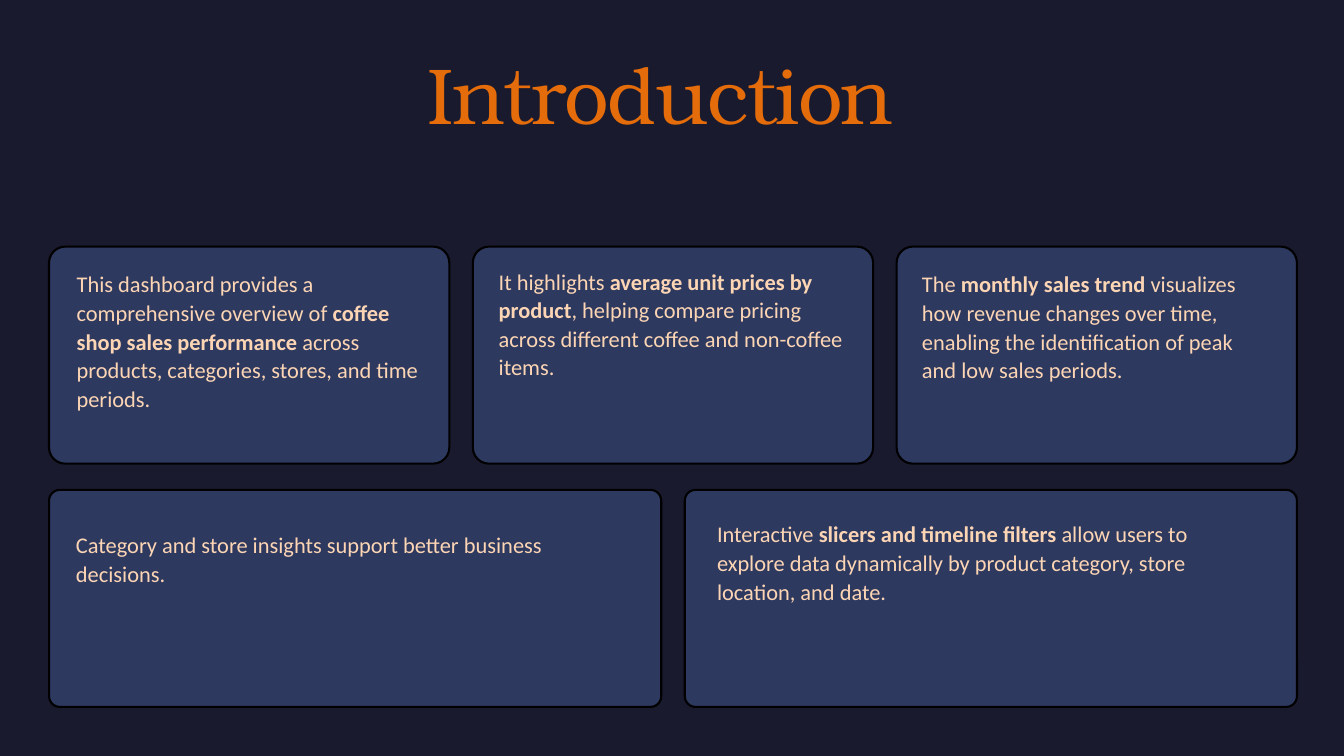
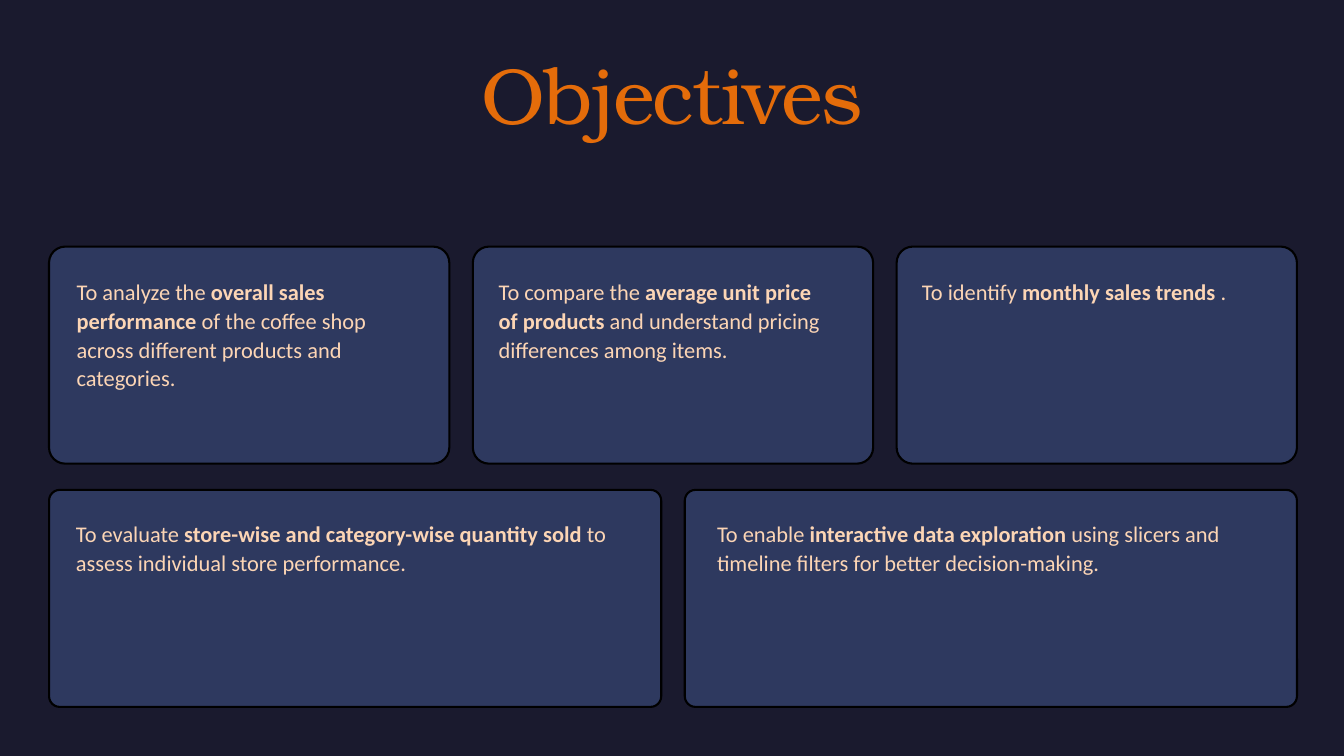
from dataclasses import dataclass

from pptx import Presentation
from pptx.dml.color import RGBColor
from pptx.enum import shapes, text
from pptx.util import Inches, Pt


@dataclass(frozen=True)
class Theme:
    background: RGBColor = RGBColor.from_string("1A1A2E")
    card: RGBColor = RGBColor.from_string("2E395F")
    outline: RGBColor = RGBColor.from_string("000000")
    title: RGBColor = RGBColor.from_string("E46C0A")
    body: RGBColor = RGBColor.from_string("FCD5B5")
    title_font: str = "TeX Gyre Bonum"
    body_font: str = "Calibri"
    title_size: float = 85
    title_tracking: int = -170
    body_size: float = 24
    body_leading: float = 30.6
    outline_width: float = 2.25


CARDS_LEFT = 0.73
CARDS_WIDTH = 18.57
CARD_GAP = 0.35
CARD_HEIGHT = 3.23
CARD_ROWS = [(3.67, 3, 0.24), (7.29, 2, 0.16)]
TEXT_LEFTS = [1.14, 7.42, 13.72, 1.13, 10.67]
LINE_HEIGHT = 0.43

SLIDES = [
    ("Introduction ", [
        (4, 5.27, 5, ["This dashboard provides a comprehensive overview of ",
                      "coffee shop sales performance",
                      " across products, categories, stores, and time periods."]),
        (3.96, 5.19, 4, ["It highlights ", "average unit prices by product",
                         ", helping compare pricing across different coffee "
                         "and non-coffee items."]),
        (4, 4.95, 4, ["The ", "monthly sales trend",
                      " visualizes how revenue changes over time, enabling the "
                      "identification of peak and low sales periods."]),
        (7.88, 8.12, 2, ["Category and store insights support better business decisions."]),
        (7.72, 7.76, 3, ["Interactive ", "slicers and timeline filters",
                         " allow users to explore data dynamically by product "
                         "category, store location, and date."]),
    ]),
    ("Objectives", [
        (4.12, 5.02, 4, ["To analyze the ", "overall sales performance",
                         " of the coffee shop across different products and categories."]),
        (4.12, 5, 3, ["To compare the ", "average unit price of products",
                      " and understand pricing differences among items."]),
        (4.12, 5.12, 1, ["To identify ", "monthly sales trends", " ."]),
        (7.72, 8.04, 2, ["To evaluate ", "store-wise and category-wise quantity sold",
                         " to assess individual store performance."]),
        (7.72, 7.76, 2, ["To enable ", "interactive data exploration",
                         " using slicers and timeline filters for better decision-making."]),
    ]),
]


class Deck:
    def __init__(self, theme):
        self.theme = theme
        self.presentation = Presentation()
        self.presentation.slide_width = Inches(20)
        self.presentation.slide_height = Inches(11.25)
        fill = self.presentation.slide_master.background.fill
        fill.solid()
        fill.fore_color.rgb = theme.background
        self.slide = None

    def add_slide(self):
        layout = self.presentation.slide_layouts.get_by_name("Title Only")
        self.slide = self.presentation.slides.add_slide(layout)

    def prepare_frame(self, shape):
        frame = shape.text_frame
        frame.margin_left = frame.margin_right = 0
        frame.margin_top = frame.margin_bottom = 0
        frame.word_wrap = True
        frame.auto_size = text.MSO_AUTO_SIZE.NONE
        frame.vertical_anchor = text.MSO_ANCHOR.TOP
        return frame.paragraphs[0]

    def add_run(self, paragraph, words, font, size, color, bold=False):
        run = paragraph.add_run()
        run.text = words
        run.font.name = font
        run.font.size = Pt(size)
        run.font.color.rgb = color
        run.font.bold = bold
        return run

    def add_title(self, words):
        theme = self.theme
        shape = self.slide.shapes.title
        shape.left, shape.top = Inches(2.3), Inches(0.91)
        shape.width, shape.height = Inches(15.4), Inches(1.24)
        paragraph = self.prepare_frame(shape)
        paragraph.alignment = text.PP_ALIGN.CENTER
        paragraph.line_spacing = Pt(theme.title_size)
        run = self.add_run(paragraph, words, theme.title_font, theme.title_size, theme.title)
        run.font._element.set("spc", str(theme.title_tracking))

    def add_card(self, left, top, width, radius):
        shape = self.slide.shapes.add_shape(
            shapes.MSO_SHAPE.ROUNDED_RECTANGLE,
            Inches(left), Inches(top), Inches(width), Inches(CARD_HEIGHT))
        shape.adjustments[0] = radius / CARD_HEIGHT
        shape.shadow.inherit = False
        shape.fill.solid()
        shape.fill.fore_color.rgb = self.theme.card
        shape.line.color.rgb = self.theme.outline
        shape.line.width = Pt(self.theme.outline_width)

    def add_card_grid(self):
        for top, columns, radius in CARD_ROWS:
            width = (CARDS_WIDTH - CARD_GAP * (columns - 1)) / columns
            for column in range(columns):
                left = CARDS_LEFT + column * (width + CARD_GAP)
                self.add_card(left, top, width, radius)

    def add_card_text(self, left, top, width, lines, segments):
        theme = self.theme
        shape = self.slide.shapes.add_textbox(
            Inches(left), Inches(top), Inches(width), Inches(lines * LINE_HEIGHT))
        paragraph = self.prepare_frame(shape)
        paragraph.line_spacing = Pt(theme.body_leading)
        for index, words in enumerate(segments):
            self.add_run(paragraph, words, theme.body_font, theme.body_size,
                         theme.body, bold=index % 2 == 1)


def main():
    deck = Deck(Theme())
    for title, card_texts in SLIDES:
        deck.add_slide()
        deck.add_title(title)
        deck.add_card_grid()
        for left, (top, width, lines, segments) in zip(TEXT_LEFTS, card_texts):
            deck.add_card_text(left, top, width, lines, segments)
    deck.presentation.save("out.pptx")


if __name__ == "__main__":
    main()
